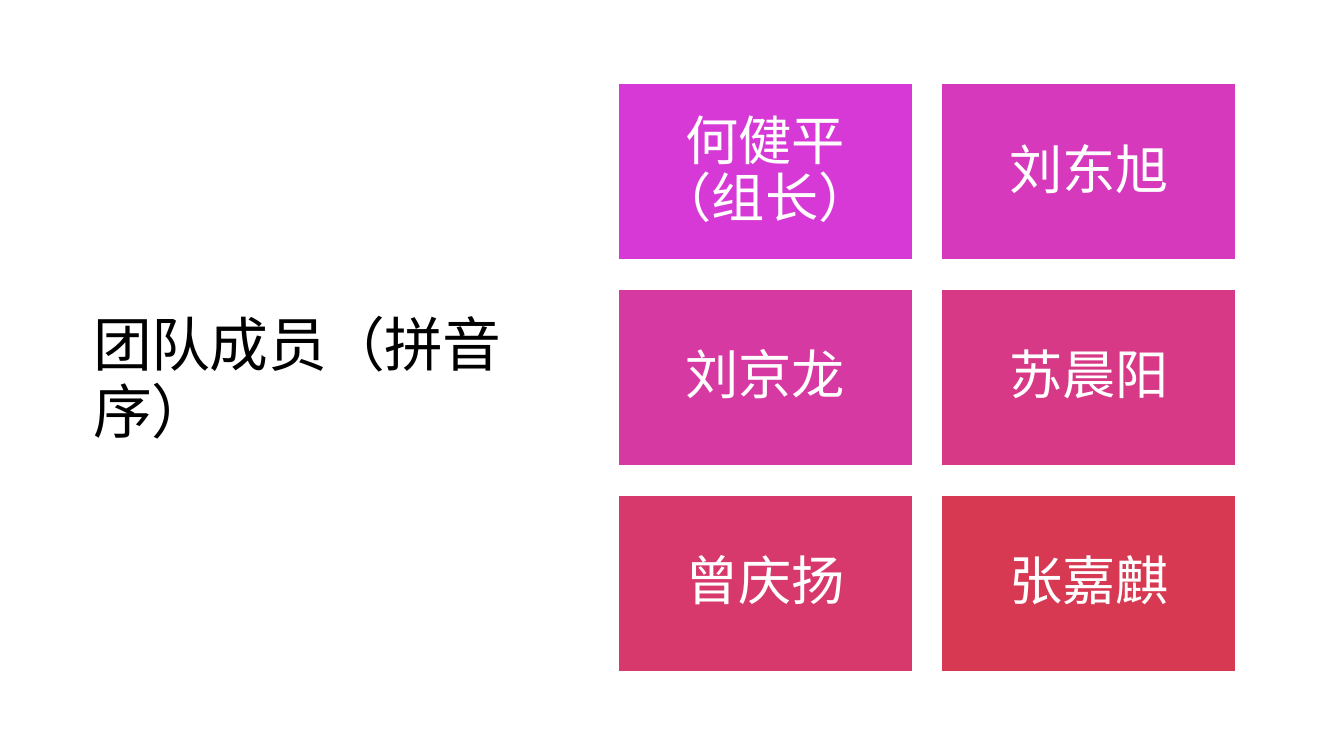
"""Build the team members slide."""
import lxml.etree
import pptx
import pptx.dml.color
import pptx.enum.shapes
import pptx.enum.text
import pptx.oxml.ns
import pptx.util

Inches = pptx.util.Inches
RGBColor = pptx.dml.color.RGBColor
PP_ALIGN = pptx.enum.text.PP_ALIGN

FONT = "Noto Sans CJK SC"
BLACK = RGBColor(0x00, 0x00, 0x00)
WHITE = RGBColor(0xFF, 0xFF, 0xFF)
MEMBERS = [
    ("何健平（组长）", RGBColor(0xD7, 0x39, 0xD6)),
    ("刘东旭", RGBColor(0xD7, 0x39, 0xBC)),
    ("刘京龙", RGBColor(0xD7, 0x39, 0xA2)),
    ("苏晨阳", RGBColor(0xD7, 0x39, 0x87)),
    ("曾庆扬", RGBColor(0xD7, 0x39, 0x6D)),
    ("张嘉麒", RGBColor(0xD7, 0x39, 0x53)),
]


def set_attributes(target, values):
    """Set each attribute of the target from a dict."""
    for name, value in values.items():
        setattr(target, name, value)


def write_text(sp, text, size, color, align, spacing, inset_x, inset_y):
    """Write one vertically centred paragraph into a shape."""
    tf = sp.text_frame
    set_attributes(tf, {
        "word_wrap": True,
        "auto_size": pptx.enum.text.MSO_AUTO_SIZE.NONE,
        "vertical_anchor": pptx.enum.text.MSO_ANCHOR.MIDDLE,
        "margin_left": Inches(inset_x), "margin_right": Inches(inset_x),
        "margin_top": Inches(inset_y), "margin_bottom": Inches(inset_y),
    })
    p = tf.paragraphs[0]
    set_attributes(p, {"alignment": align, "line_spacing": spacing})
    r = p.add_run()
    r.text = text
    set_attributes(r.font, {"size": pptx.util.Pt(size), "name": FONT})
    r.font.color.rgb = color
    r_pr = r._r.get_or_add_rPr()
    lxml.etree.SubElement(r_pr, pptx.oxml.ns.qn("a:ea"), typeface=FONT)
    return r


def add_title(s, left, top, width, height):
    """Place and format the title in the given box."""
    sp = s.shapes.title
    set_attributes(sp, {
        "left": Inches(left), "top": Inches(top),
        "width": Inches(width), "height": Inches(height),
    })
    r = write_text(sp, "团队成员（拼音序）", 42, BLACK, PP_ALIGN.LEFT, 0.95, 0.1, 0.05)
    r._r.get_or_add_rPr().set("spc", "-50")


def add_member_grid(s, left, top, width, height, columns=2, gap=0.29):
    """Fill the given box with an even grid of member cards."""
    rows = len(MEMBERS) // columns
    card_width = (width - gap * (columns - 1)) / columns
    card_height = (height - gap * (rows - 1)) / rows
    for i, (name, fill) in enumerate(MEMBERS):
        row, column = divmod(i, columns)
        sp = s.shapes.add_shape(
            pptx.enum.shapes.MSO_SHAPE.RECTANGLE,
            Inches(left + column * (card_width + gap)),
            Inches(top + row * (card_height + gap)),
            Inches(card_width), Inches(card_height))
        sp.shadow.inherit = False
        sp.fill.solid()
        sp.fill.fore_color.rgb = fill
        sp.line.color.rgb = WHITE
        sp.line.width = pptx.util.Pt(1)
        write_text(sp, name, 38, WHITE, PP_ALIGN.CENTER, 0.9, 0.16, 0.16)


def main():
    """Create the presentation and save it."""
    prs = pptx.Presentation()
    set_attributes(prs, {"slide_width": Inches(13.33), "slide_height": Inches(7.5)})
    s = prs.slides.add_slide(prs.slide_layouts[5])
    add_title(s, 0.83, 0.85, 4.27, 5.84)
    add_member_grid(s, 6.13, 0.83, 6.13, 5.83)
    prs.save("out.pptx")


main()
